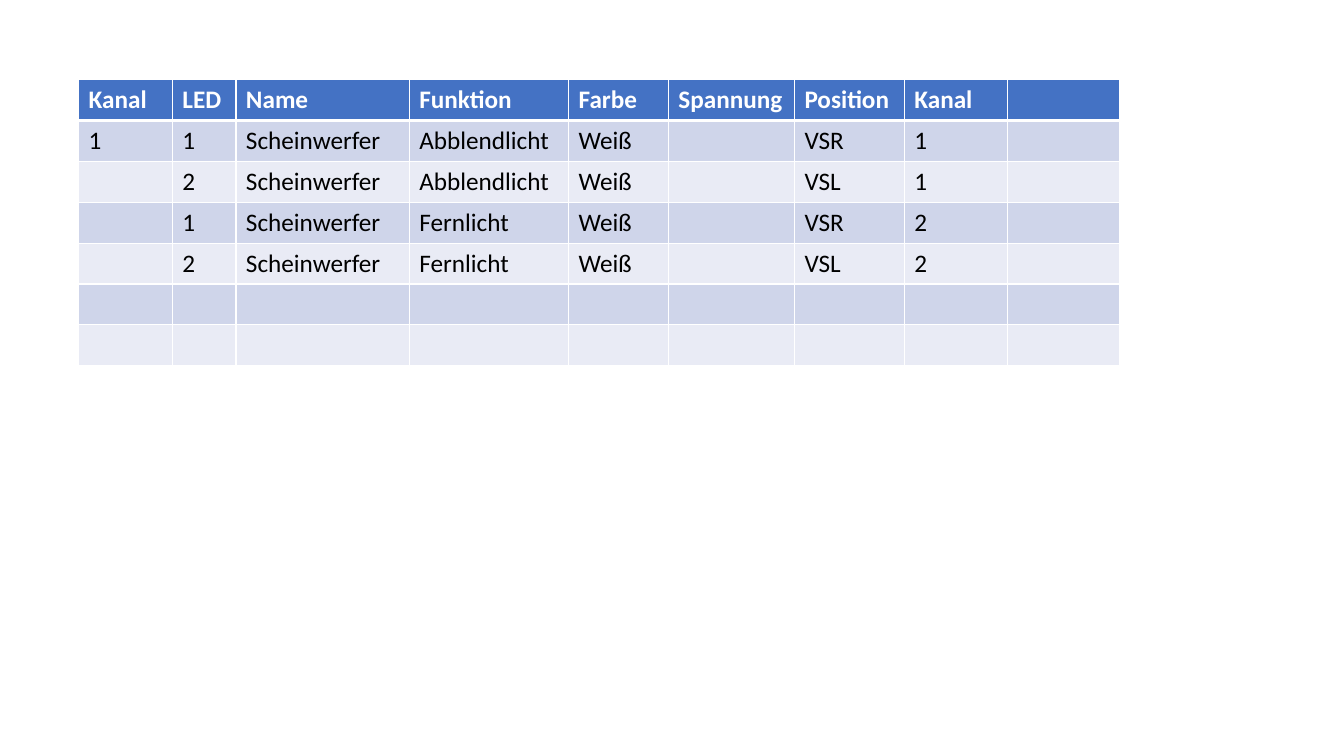
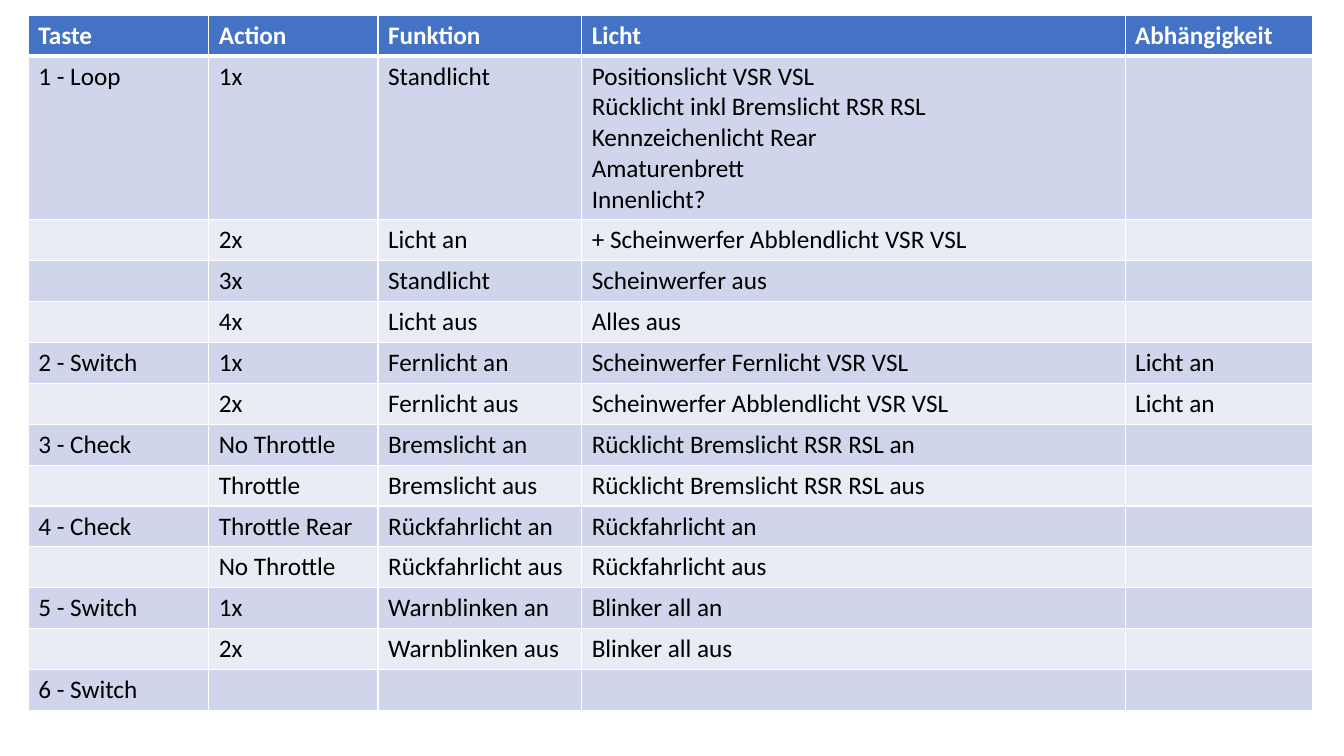
from lxml.etree import SubElement
from pptx import Presentation
from pptx.dml.color import RGBColor
from pptx.oxml.ns import qn
from pptx.util import Inches, Pt

WHITE = RGBColor(0xFF, 0xFF, 0xFF)
BLACK = RGBColor(0x00, 0x00, 0x00)
HEADER_BLUE = RGBColor(0x44, 0x72, 0xC4)
BAND_DARK = RGBColor(0xCF, 0xD5, 0xEA)
BAND_LIGHT = RGBColor(0xE9, 0xEB, 0xF5)


def write_text(frame, text, font="Calibri", size=18, color=BLACK, bold=False):
    frame.text = text
    for paragraph in frame.paragraphs:
        paragraph.font.size = Pt(size)
        for run in paragraph.runs:
            run.font.name = font
            run.font.size = Pt(size)
            run.font.bold = bold
            run.font.color.rgb = color


def add_border(cell, side, width):
    properties = cell._tc.get_or_add_tcPr()
    line = SubElement(properties, qn(f"a:ln{side}"), w=str(Pt(width)))
    fill = SubElement(line, qn("a:solidFill"))
    SubElement(fill, qn("a:srgbClr"), val=str(WHITE))


class Deck:
    def __init__(self):
        self.presentation = Presentation()
        self.presentation.slide_width = Inches(13.33)
        self.presentation.slide_height = Inches(7.5)
        self.slide = None

    def add_slide(self):
        self.slide = self.presentation.slides.add_slide(self.presentation.slide_layouts[6])

    def add_table(self, left, top, column_widths, row_heights, rows):
        shape = self.slide.shapes.add_table(
            len(rows), len(column_widths), Inches(left), Inches(top),
            Inches(sum(column_widths)), Inches(sum(row_heights)))
        table = shape.table
        for column, width in zip(table.columns, column_widths):
            column.width = Inches(width)
        for row, height in zip(table.rows, row_heights):
            row.height = Inches(height)
        for row_index, texts in enumerate(rows):
            for column_index, text in enumerate(texts):
                self.style_cell(table.cell(row_index, column_index), row_index, text)

    def style_cell(self, cell, row_index, text):
        header = row_index == 0
        widths = {"L": 1, "R": 1, "T": 3 if row_index == 1 else 1, "B": 3 if header else 1}
        for side, width in widths.items():
            add_border(cell, side, width)
        band = BAND_DARK if row_index % 2 else BAND_LIGHT
        cell.fill.solid()
        cell.fill.fore_color.rgb = HEADER_BLUE if header else band
        write_text(cell.text_frame, text, color=WHITE if header else BLACK, bold=header)


CHANNEL_ROWS = [
    ("Kanal", "LED", "Name", "Funktion", "Farbe", "Spannung", "Position", "Kanal", ""),
    ("1", "1", "Scheinwerfer", "Abblendlicht", "Weiß", "", "VSR", "1", ""),
    ("", "2", "Scheinwerfer", "Abblendlicht", "Weiß", "", "VSL", "1", ""),
    ("", "1", "Scheinwerfer", "Fernlicht", "Weiß", "", "VSR", "2", ""),
    ("", "2", "Scheinwerfer", "Fernlicht", "Weiß", "", "VSL", "2", ""),
    ("",) * 9,
    ("",) * 9,
]

PARKING_LIGHTS = "\n".join([
    "Positionslicht VSR VSL",
    "Rücklicht inkl Bremslicht RSR RSL",
    "Kennzeichenlicht Rear",
    "Amaturenbrett",
    "Innenlicht?",
])

BUTTON_ROWS = [
    ("Taste", "Action", "Funktion", "Licht", "Abhängigkeit"),
    ("1 - Loop", "1x", "Standlicht", PARKING_LIGHTS, ""),
    ("", "2x", "Licht an", "+ Scheinwerfer Abblendlicht VSR VSL", ""),
    ("", "3x", "Standlicht", "Scheinwerfer aus", ""),
    ("", "4x", "Licht aus", "Alles aus", ""),
    ("2 - Switch", "1x", "Fernlicht an", "Scheinwerfer Fernlicht VSR VSL", "Licht an"),
    ("", "2x", "Fernlicht aus", "Scheinwerfer Abblendlicht VSR VSL", "Licht an"),
    ("3 - Check", "No Throttle", "Bremslicht an", "Rücklicht Bremslicht RSR RSL an", ""),
    ("", "Throttle", "Bremslicht aus", "Rücklicht Bremslicht RSR RSL aus", ""),
    ("4 - Check", "Throttle Rear", "Rückfahrlicht an", "Rückfahrlicht an", ""),
    ("", "No Throttle", "Rückfahrlicht aus", "Rückfahrlicht aus", ""),
    ("5 - Switch", "1x", "Warnblinken an", "Blinker all an", ""),
    ("", "2x", "Warnblinken aus", "Blinker all aus", ""),
    ("6 - Switch", "", "", "", ""),
]


def main():
    deck = Deck()
    deck.add_slide()
    deck.add_table(0.78, 0.79, [0.93, 0.63, 1.72, 1.58, 0.99, 1.25, 1.09, 1.02, 1.12],
                   [0.4] * len(CHANNEL_ROWS), CHANNEL_ROWS)
    deck.add_slide()
    deck.add_table(0.28, 0.15, [1.79, 1.68, 2.02, 5.39, 1.86],
                   [0.4, 1.6] + [0.4] * (len(BUTTON_ROWS) - 2), BUTTON_ROWS)
    deck.presentation.save("out.pptx")


if __name__ == "__main__":
    main()
